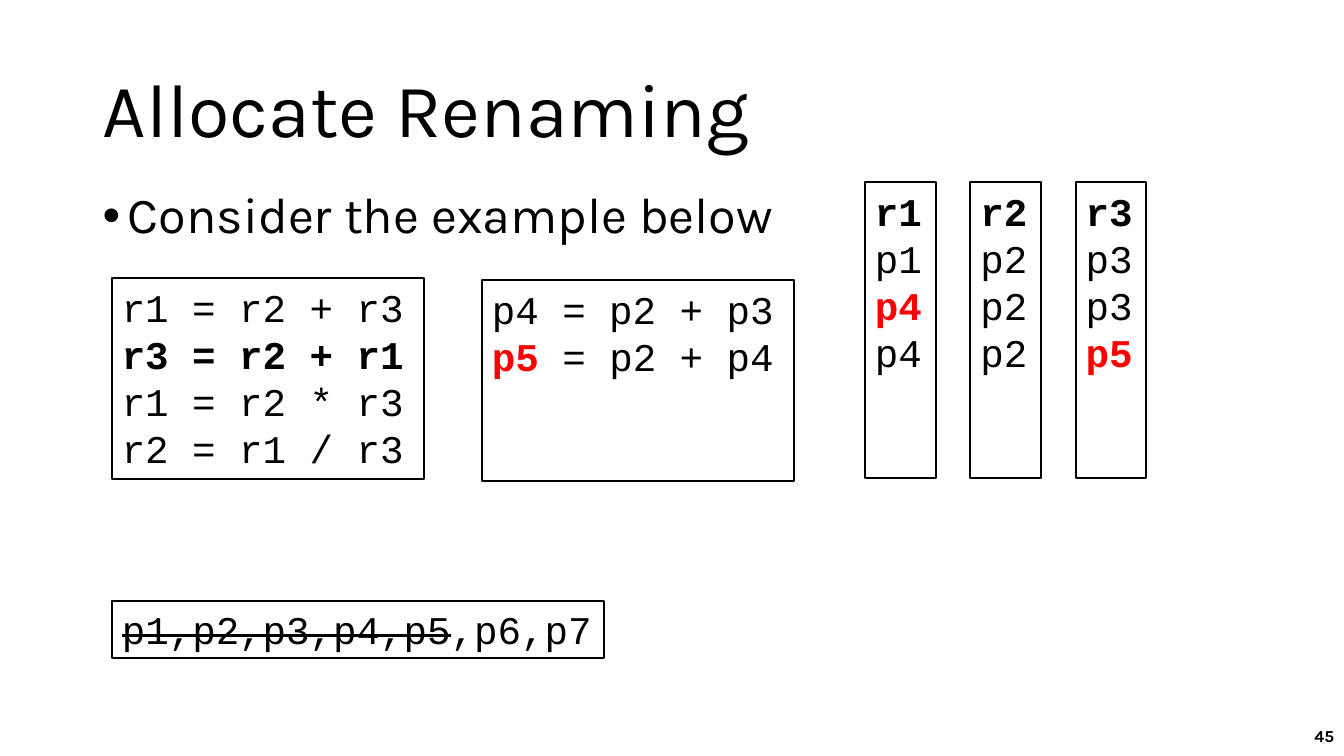
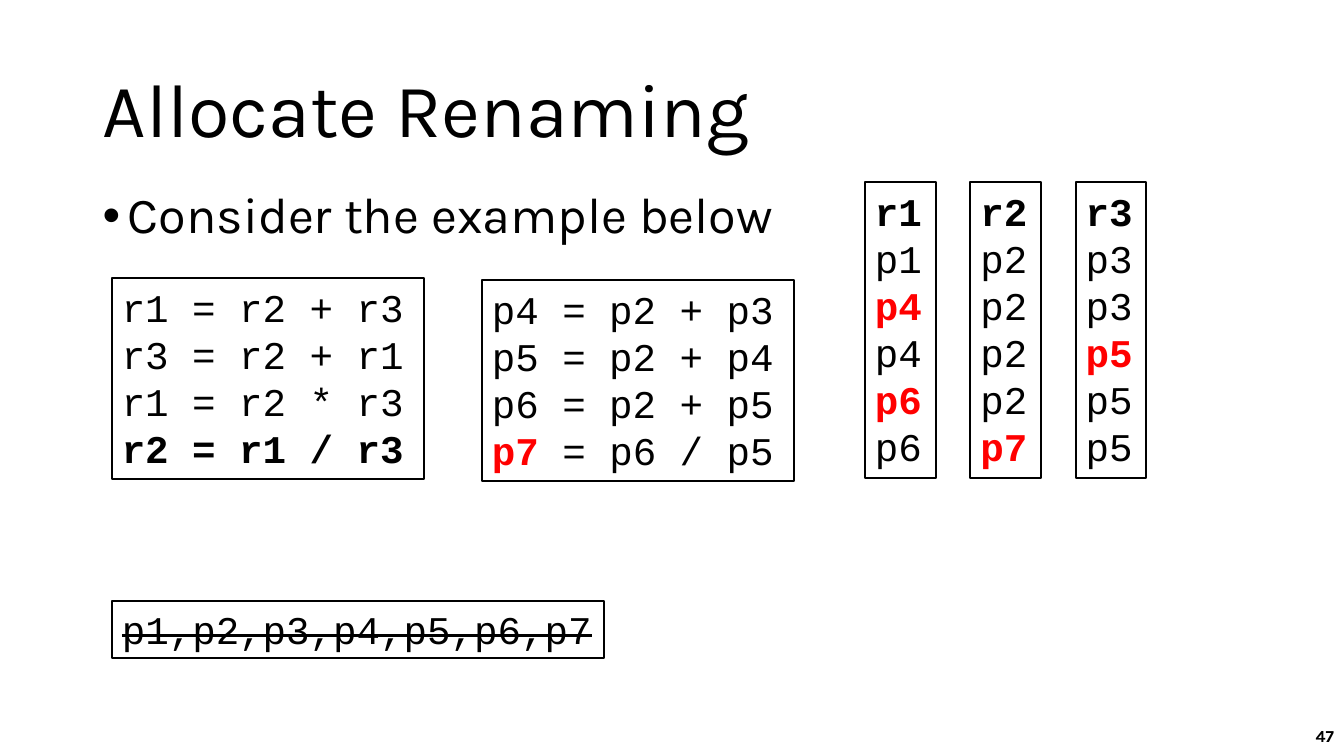
from lxml.etree import SubElement
from pptx import Presentation
from pptx.dml.color import RGBColor
from pptx.enum.shapes import MSO_SHAPE
from pptx.enum.text import MSO_ANCHOR, PP_ALIGN
from pptx.oxml.ns import qn
from pptx.util import Inches, Pt

COLORS = {"text": "000000", "new": "FF0000", "box": "FFFFFF"}
PROGRAM = ["r1 = r2 + r3", "r3 = r2 + r1", "r1 = r2 * r3", "r2 = r1 / r3"]
RENAMED = ["p4 = p2 + p3", "p5 = p2 + p4", "p6 = p2 + p5", "p7 = p6 / p5"]
MAPPINGS = {
    "r1": ["p1", "p4", "p4", "p6", "p6"],
    "r2": ["p2", "p2", "p2", "p2", "p7"],
    "r3": ["p3", "p3", "p5", "p5", "p5"],
}
REGISTERS = [f"p{i}" for i in range(1, 8)]


class Deck:
    """Builds renaming slides in one shared style."""

    def __init__(self):
        self.prs = Presentation()
        self.prs.slide_width = Inches(13.33)
        self.prs.slide_height = Inches(7.5)
        self.s = None

    def color(self, name):
        return RGBColor.from_string(COLORS[name])

    def run(self, p, text, size, font, color="text", bold=False, strike=False):
        r = p.add_run()
        r.text = text
        r.font.size = Pt(size)
        r.font.name = font
        r.font.bold = bold
        r.font.color.rgb = self.color(color)
        if strike:
            r._r.get_or_add_rPr().set("strike", "sngStrike")

    def label(self, text, left, top, width, height, size, anchor, bold=False):
        sp = self.s.shapes.add_textbox(*map(Inches, (left, top, width, height)))
        tf = sp.text_frame
        tf.word_wrap = True
        tf.vertical_anchor = anchor
        p = tf.paragraphs[0]
        self.run(p, text, size, "Karla", bold=bold)
        return p

    def slide(self, title, number):
        self.s = self.prs.slides.add_slide(self.prs.slide_layouts[6])
        p = self.label(title, 0.92, 0.4, 11.5, 1.45, 54, MSO_ANCHOR.MIDDLE)
        p.line_spacing = 0.9
        p = self.label(str(number), 10.33, 7.1, 3, 0.4, 12, MSO_ANCHOR.MIDDLE, True)
        p.alignment = PP_ALIGN.RIGHT

    def bullet(self, text):
        p = self.label(text, 0.92, 1.84, 11.5, 0.76, 36, MSO_ANCHOR.TOP)
        p.line_spacing = 0.9
        p.space_before = Pt(10)
        pPr = p._p.get_or_add_pPr()
        pPr.set("marL", str(Inches(0.25)))
        pPr.set("indent", str(Inches(-0.25)))
        SubElement(pPr, qn("a:buFont"), typeface="Arial")
        SubElement(pPr, qn("a:buChar"), char="•")

    def code_box(self, left, top, width, height, lines):
        sp = self.s.shapes.add_shape(
            MSO_SHAPE.RECTANGLE, *map(Inches, (left, top, width, height)))
        sp.shadow.inherit = False
        sp.fill.solid()
        sp.fill.fore_color.rgb = self.color("box")
        sp.line.color.rgb = self.color("text")
        sp.line.width = Pt(1.5)
        tf = sp.text_frame
        tf.word_wrap = True
        tf.vertical_anchor = MSO_ANCHOR.TOP
        for i, line in enumerate(lines):
            p = tf.add_paragraph() if i else tf.paragraphs[0]
            p.alignment = PP_ALIGN.LEFT
            for text, style in line:
                self.run(p, text, 28, "Courier New", **style)


def renaming_slide(deck, number, step):
    new = {"color": "new", "bold": True}
    deck.slide("Allocate Renaming", number)

    program = [[(line, {"bold": i == step})] for i, line in enumerate(PROGRAM, 1)]
    deck.code_box(1.11, 2.76, 3.1, 1.99, program)

    deck.bullet("Consider the example below")

    renamed = [[(line, {})] for line in RENAMED[:step - 1]]
    latest = RENAMED[step - 1]
    renamed.append([(latest[:3], new), (latest[3:], {})])
    deck.code_box(4.78, 2.78, 3.1, 1.99, renamed)

    used = len(MAPPINGS) + step
    free = [(",".join(REGISTERS[:used]), {"strike": True})]
    if used < len(REGISTERS):
        free.append(("," + ",".join(REGISTERS[used:]), {}))
    deck.code_box(1.11, 5.96, 4.88, 0.57, [free])

    for i, (register, history) in enumerate(MAPPINGS.items()):
        column = [[(register, {"bold": True})], [(history[0], {})]]
        for before, after in zip(history[:step], history[1:step + 1]):
            column.append([(after, new if after != before else {})])
        deck.code_box(8.58 + 1.045 * i, 1.81, 0.7, 2.93, column)


def main():
    deck = Deck()
    for number, step in ((45, 2), (47, 4)):
        renaming_slide(deck, number, step)
    deck.prs.save("out.pptx")


if __name__ == "__main__":
    main()
